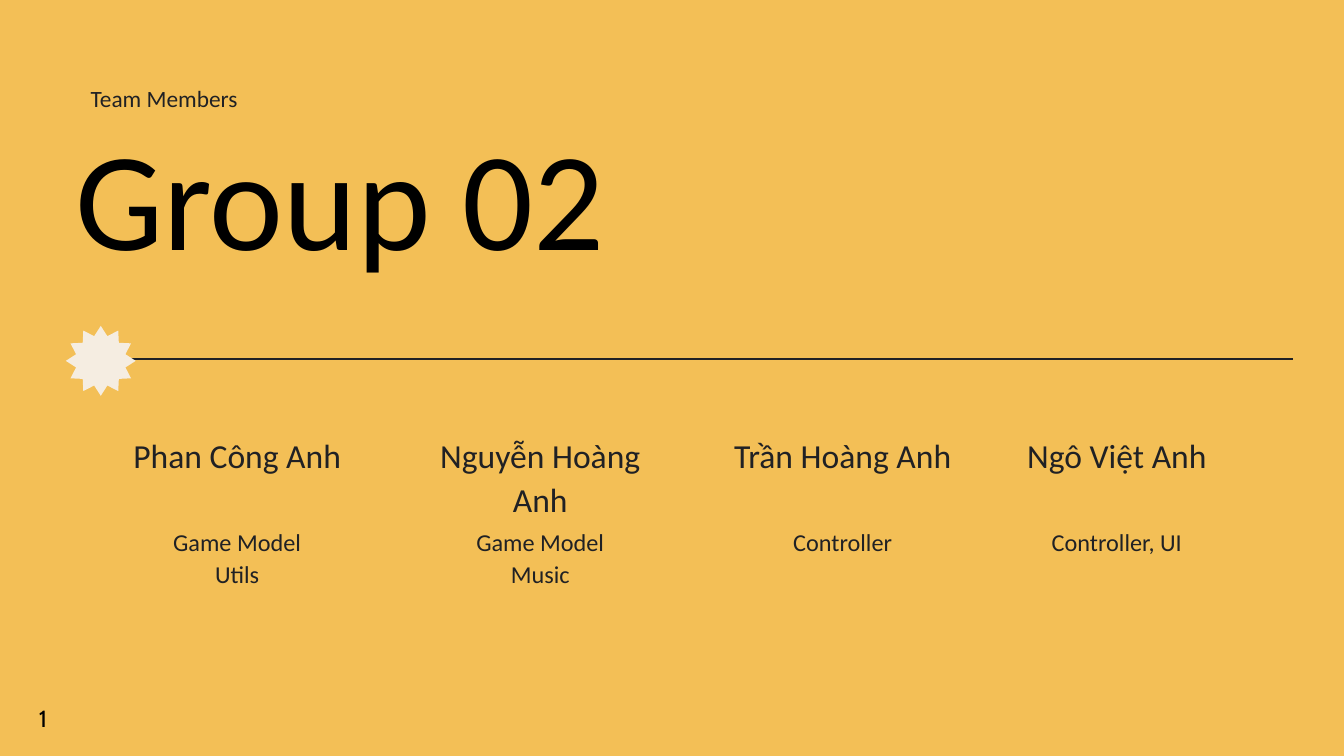
from math import cos, pi, sin

from lxml.etree import SubElement
from pptx import Presentation
from pptx.dml.color import RGBColor
from pptx.enum.shapes import MSO_CONNECTOR
from pptx.enum.text import MSO_ANCHOR as Anchor, MSO_AUTO_SIZE as AutoSize, PP_ALIGN as Align
from pptx.oxml.ns import qn
from pptx.util import Inches, Pt

AMBER = RGBColor(0xF3, 0xBF, 0x56)
CREAM = RGBColor(0xF5, 0xED, 0xE1)
INK = RGBColor(0x20, 0x21, 0x24)
BLACK = RGBColor(0, 0, 0)

MEMBERS = [
    (1.86, "Phan Công Anh", ["Game Model", "Utils"]),
    (6.37, "Nguyễn Hoàng Anh", ["Game Model", "Music"]),
    (10.87, "Trần Hoàng Anh", ["Controller"]),
    (14.95, "Ngô Việt Anh", ["Controller, UI"]),
]
MEMBER_WIDTH = 3.34
ROLE_LINE = 0.46


def write_text(sp, lines, size, spacing, color=INK, font="Calibri", align=Align.LEFT):
    tf = sp.text_frame
    tf.word_wrap = True
    tf.auto_size = AutoSize.NONE
    tf.vertical_anchor = Anchor.TOP
    tf.margin_left = tf.margin_top = tf.margin_right = tf.margin_bottom = 0
    for i, line in enumerate(lines):
        p = tf.add_paragraph() if i else tf.paragraphs[0]
        p.alignment = align
        p.line_spacing = Pt(spacing)
        p.space_before = Pt(0)
        r = p.add_run()
        r.text = line
        r.font.name = font
        r.font.size = Pt(size)
        r.font.color.rgb = color


class TeamSlide:
    """Holds the slide and draws each kind of element on it."""

    def __init__(self, prs):
        self.s = prs.slides.add_slide(prs.slide_layouts[5])
        fill = self.s.background.fill
        fill.solid()
        fill.fore_color.rgb = AMBER

    def title(self, text, left, top, width, height, **fmt):
        sp = self.s.shapes.title
        sp.left, sp.top = Inches(left), Inches(top)
        sp.width, sp.height = Inches(width), Inches(height)
        write_text(sp, [text], **fmt)

    def text(self, lines, left, top, width, height, **fmt):
        sp = self.s.shapes.add_textbox(*map(Inches, (left, top, width, height)))
        write_text(sp, lines, **fmt)

    def rule(self, x1, x2, y):
        line = self.s.shapes.add_connector(
            MSO_CONNECTOR.STRAIGHT, Inches(x1), Inches(y), Inches(x2), Inches(y))
        line.line.color.rgb = INK
        line.line.width = Pt(2.25)
        SubElement(line._element.spPr, qn("a:effectLst"))

    def star(self, cx, cy, outer, inner, tips=12):
        points = []
        for i in range(2 * tips):
            radius = inner if i % 2 else outer
            angle = i * pi / tips
            points.append((Inches(cx + radius * sin(angle)),
                           Inches(cy - radius * cos(angle))))
        builder = self.s.shapes.build_freeform(*points[0])
        builder.add_line_segments(points[1:], close=True)
        sp = builder.convert_to_shape()
        sp.shadow.inherit = False
        sp.fill.solid()
        sp.fill.fore_color.rgb = CREAM
        sp.line.fill.background()

    def member(self, left, name, roles):
        self.text([name], left, 6.42, MEMBER_WIDTH, 1.27,
                  size=36, spacing=46.8, align=Align.CENTER)
        self.text(roles, left, 7.81, MEMBER_WIDTH, ROLE_LINE * len(roles),
                  size=26, spacing=33.8, align=Align.CENTER)


def main():
    prs = Presentation()
    prs.slide_width, prs.slide_height = Inches(20), Inches(11.25)

    slide = TeamSlide(prs)
    slide.title("Group 02", 1.12, 1.65, 17.97, 2.5, size=150, spacing=180, color=BLACK)
    slide.text(["Team Members"], 1.35, 1.18, 9.52, 0.46, size=25, spacing=35)
    slide.rule(1.27, 19.24, 5.34)
    slide.star(1.5, 5.37, outer=0.52, inner=0.38)
    for left, name, roles in MEMBERS:
        slide.member(left, name, roles)
    slide.text(["1"], 0.55, 10.41, 0.18, 0.47, size=25, spacing=35,
               color=BLACK, font="Cabin", align=Align.CENTER)

    prs.save("out.pptx")


if __name__ == "__main__":
    main()
